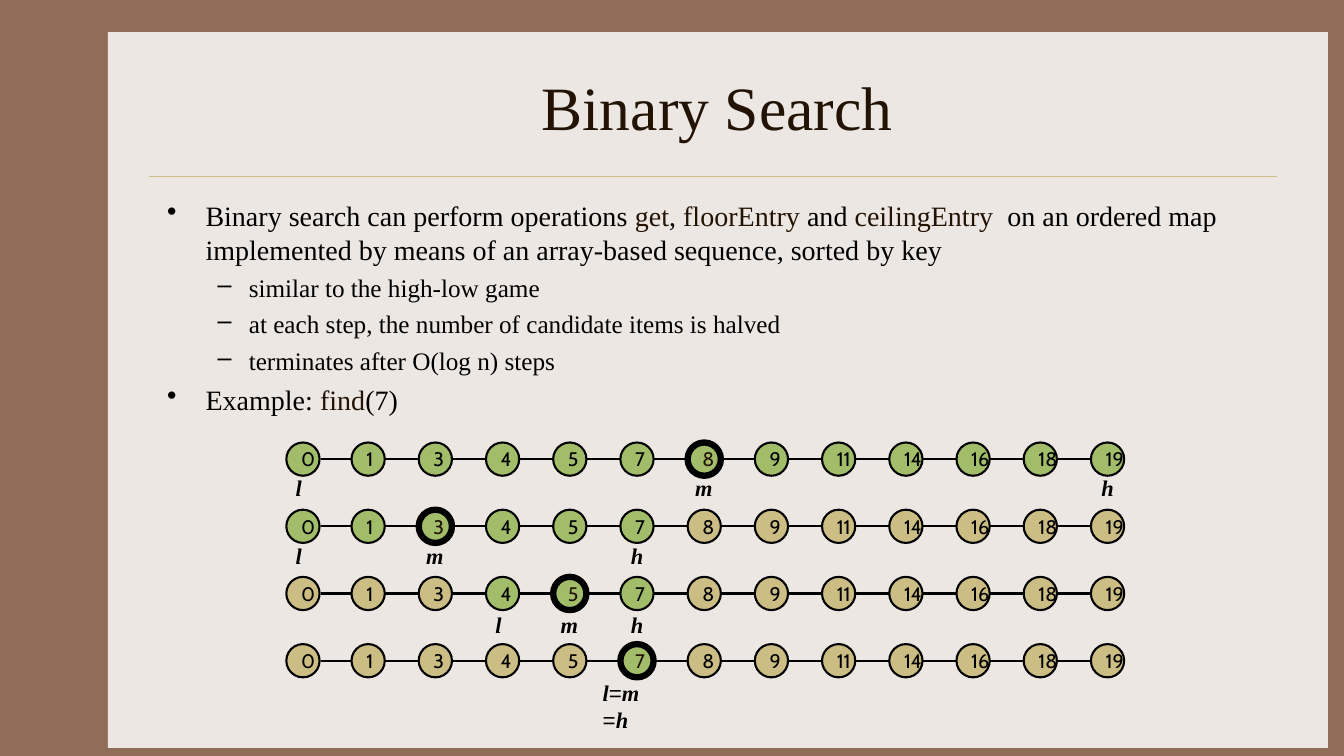
import pptx
import pptx.dml.color
import pptx.enum.shapes
import pptx.enum.text
import pptx.util
from lxml import etree
from pptx.util import Inches

SERIF = "Times New Roman"
BLACK, BROWN, GREEN, SAND = "000000", "221304", "A1BD69", "CBBD83"
KEYS = [0, 1, 3, 4, 5, 7, 8, 9, 11, 14, 16, 18, 19]
STEP, DIAMETER = 2 / 3, 0.33
FIRST_LEFT, FIRST_TOP = 2.82, 4.39
LABEL_WIDTHS = {"l": 0.26, "m": 0.38, "h": 0.32}

SEARCH_STEPS = [
    {"l": 0, "m": 6, "h": 12},
    {"l": 0, "m": 2, "h": 5},
    {"l": 3, "m": 4, "h": 5},
    {"l": 5, "m": 5, "h": 5},
]

BULLETS = [
    (0, [("Binary search can perform operations ", BLACK), ("get", BROWN), (", ", BLACK),
         ("floorEntry", BROWN), (" and ", BLACK), ("ceilingEntry", BROWN),
         ("  on an ordered map implemented by means of an array-based sequence, "
          "sorted by key", BLACK)]),
    (1, [("similar to the high-low game", BLACK)]),
    (1, [("at each step, the number of candidate items is halved", BLACK)]),
    (1, [("terminates after O(log n) steps", BLACK)]),
    (0, [("Example: ", BLACK), ("find", BROWN), ("(7)", BLACK)]),
]


def rgb(value):
    """Turn a hex string into a colour."""
    return pptx.dml.color.RGBColor.from_string(value)


def set_font(font, name, size, color=None, bold=None, italic=None):
    """Set the typeface, size, colour and style of a font."""
    font.name, font.size = name, pptx.util.Pt(size)
    font.bold, font.italic = bold, italic
    if color:
        font.color.rgb = rgb(color)


def add_text(slide, left, top, width, height, wrap=True):
    """Add a text box and return its text frame."""
    frame = slide.shapes.add_textbox(
        Inches(left), Inches(top), Inches(width), Inches(height)).text_frame
    frame.word_wrap = wrap
    return frame


def add_line(slide, start, end, y, color, weight):
    """Draw a horizontal line."""
    line = slide.shapes.add_connector(
        pptx.enum.shapes.MSO_CONNECTOR.STRAIGHT,
        Inches(start), Inches(y), Inches(end), Inches(y))
    line.line.color.rgb = rgb(color)
    line.line.width = pptx.util.Pt(weight)
    etree.SubElement(line._element.spPr, pptx.oxml.ns.qn("a:effectLst"))


def add_panel(slide):
    """Colour the background and lay the pale panel on it."""
    slide.background.fill.solid()
    slide.background.fill.fore_color.rgb = rgb("906D58")
    panel = slide.shapes.add_shape(
        pptx.enum.shapes.MSO_SHAPE.RECTANGLE,
        Inches(1.07), Inches(0.32), Inches(12.1), Inches(7.1))
    panel.shadow.inherit = False
    panel.fill.solid()
    panel.fill.fore_color.rgb = rgb("EDE7E3")
    panel.line.fill.background()


def add_title(slide, text):
    """Add the centred heading with the rule below it."""
    frame = add_text(slide, 1.56, 0.42, 11.11, 1.25)
    frame.vertical_anchor = pptx.enum.text.MSO_ANCHOR.MIDDLE
    heading = frame.paragraphs[0]
    heading.text = text
    heading.alignment = pptx.enum.text.PP_ALIGN.CENTER
    set_font(heading.font, SERIF, 44, BROWN)
    add_line(slide, 1.48, 12.67, 1.75, SAND, 0.25)


def add_bullets(slide):
    """Add the two-level bullet list."""
    frame = add_text(slide, 1.56, 1.92, 11.11, 2.3)
    for number, (level, runs) in enumerate(BULLETS):
        item = frame.add_paragraph() if number else frame.paragraphs[0]
        margin, hanging, mark, size = [(0.38, 0.38, "•", 20), (0.81, 0.31, "–", 18)][level]
        item.level = level
        if number:
            item.space_before = pptx.util.Pt(4.6)
        properties = item._p.get_or_add_pPr()
        properties.set("marL", str(Inches(margin)))
        properties.set("indent", str(-Inches(hanging)))
        etree.SubElement(properties, pptx.oxml.ns.qn("a:buChar"), char=mark)
        set_font(item.font, SERIF, size)
        for text, color in runs:
            run = item.add_run()
            run.text = text
            run.font.color.rgb = rgb(color)


def node_left(index):
    """Give the left edge of a node in a row."""
    return max(2.84, FIRST_LEFT + index * STEP)


def add_node(slide, index, top, candidate, middle):
    """Draw one key of the sequence as a circle."""
    node = slide.shapes.add_shape(
        pptx.enum.shapes.MSO_SHAPE.OVAL,
        Inches(node_left(index)), Inches(top), Inches(DIAMETER), Inches(DIAMETER))
    node.shadow.inherit = False
    node.fill.solid()
    node.fill.fore_color.rgb = rgb(GREEN if candidate else SAND)
    node.line.color.rgb = rgb(BLACK)
    node.line.width = pptx.util.Pt(4.5 if middle else 1.5)
    frame = node.text_frame
    frame.word_wrap = False
    frame.vertical_anchor = pptx.enum.text.MSO_ANCHOR.MIDDLE
    key = frame.paragraphs[0]
    key.text = str(KEYS[index])
    key.alignment = pptx.enum.text.PP_ALIGN.LEFT
    set_font(key.font, "Cabin", 14, BROWN if middle else BLACK)


def add_label(slide, name, index, top):
    """Write the name of a bound under its node."""
    width = LABEL_WIDTHS[name]
    offset = -0.04 if name == "l" else 0
    left = node_left(index) + (DIAMETER - width) / 2 + offset
    label = add_text(slide, left, top, width, 0.37, wrap=False).paragraphs[0]
    label.text = name
    set_font(label.font, SERIF, 16, BLACK, True, True)


def add_final_label(slide, top):
    """Write the equation of the three bounds where they meet."""
    equation = add_text(slide, 5.88, top, 0.86, 0.37).paragraphs[0]
    for text in ["l", "=", "m ", "=", "h"]:
        run = equation.add_run()
        run.text = text
        is_name = text != "="
        set_font(run.font, SERIF if is_name else "Arial", 16, BLACK, is_name, is_name)


def add_search_step(slide, number, bounds):
    """Draw the sequence with the bounds of one search step."""
    top = FIRST_TOP + number * STEP
    label_top = 4.65 + number * 0.68
    add_line(slide, 3.18, node_left(len(KEYS) - 1), top + DIAMETER / 2, BLACK, 1.5)
    for index in range(len(KEYS)):
        candidate = bounds["l"] <= index <= bounds["h"]
        add_node(slide, index, top, candidate, index == bounds["m"])
    if bounds["l"] == bounds["h"]:
        add_final_label(slide, label_top)
    else:
        for name, index in bounds.items():
            add_label(slide, name, index, label_top)


def main():
    """Build the slide and save it."""
    deck = pptx.Presentation()
    deck.slide_width, deck.slide_height = Inches(13.33), Inches(7.5)
    slide = deck.slides.add_slide(deck.slide_layouts[6])
    add_panel(slide)
    add_title(slide, "Binary Search")
    add_bullets(slide)
    for number, bounds in enumerate(SEARCH_STEPS):
        add_search_step(slide, number, bounds)
    deck.save("out.pptx")


if __name__ == "__main__":
    main()
